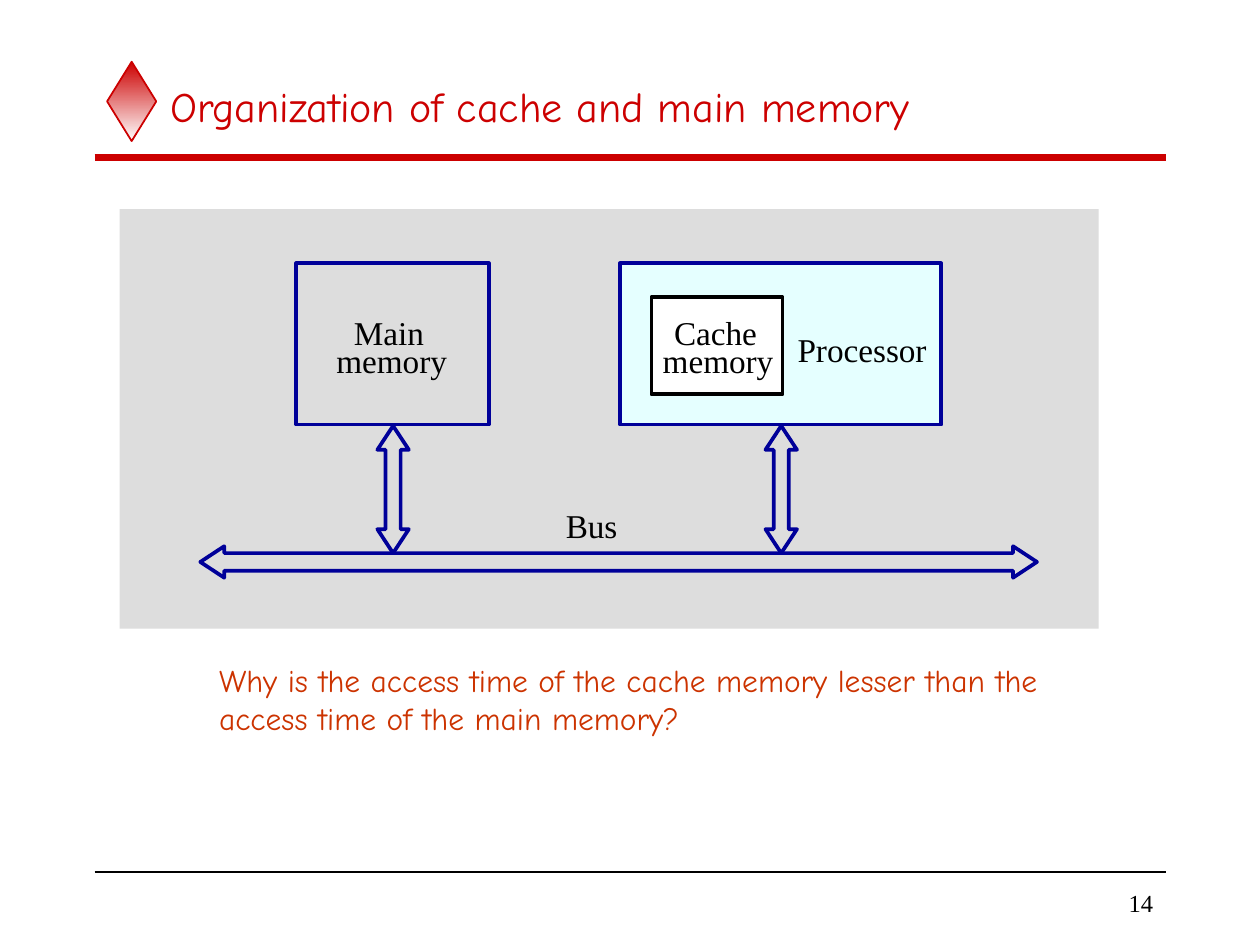
from dataclasses import dataclass

from pptx import Presentation
from pptx import util as u
from pptx.dml.color import RGBColor
from pptx.enum import shapes, text
from pptx.oxml import parse_xml
from pptx.oxml.ns import nsdecls


@dataclass(frozen=True)
class Theme:
    red: str = "CC0000"
    question: str = "CC3300"
    navy: str = "000099"
    black: str = "000000"
    white: str = "FFFFFF"
    panel: str = "DDDDDD"
    cyan: str = "E5FFFF"
    heading_font: str = "Comic Neue"
    label_font: str = "Times New Roman"
    title_size: float = 24
    question_size: float = 18
    label_size: float = 19
    number_size: float = 14
    outline: float = 2.13


THEME = Theme()

# Content, placed on a grid of 100 columns by 75 rows
COLUMNS, ROWS = 100, 75
TITLE = "Organization of cache and main memory"
QUESTION = ["Why is the access time of the cache memory lesser than the",
            "access time of the main memory?"]
PAGE_NUMBER = "14"

RULES = [  # row, colour, width
    (12.5, THEME.red, 4),
    (69.2, THEME.black, 1),
]
BOXES = [  # column, row, width, height, fill, line
    (9.5, 16.6, 77.7, 33.3, THEME.panel, None),
    (23.5, 20.9, 15.3, 12.8, None, THEME.navy),
    (49.2, 20.9, 25.5, 12.8, THEME.cyan, THEME.navy),
    (51.7, 23.6, 10.4, 7.7, THEME.white, THEME.black),
]
LABELS = [  # wording, column, row, width
    ("Main", 28.1, 24.8, 5.6),
    ("memory", 26.7, 27, 8.8),
    ("Cache", 53.5, 24.8, 6.6),
    ("memory", 52.6, 27, 8.8),
    ("Processor", 63.3, 26.1, 10.2),
    ("Bus", 44.9, 40.1, 4.1),
]
ARROWS = [  # vertical, centre line, start, end, head length, shaft half, head half
    (True, 31.2, 33.8, 43.9, 1.9, 0.6, 1.25),
    (True, 62, 33.8, 43.9, 1.9, 0.6, 1.25),
    (False, 44.6, 15.9, 82.3, 1.9, 0.7, 1.25),
]

presentation = Presentation()
presentation.slide_width, presentation.slide_height = u.Inches(10), u.Inches(7.5)
slide = presentation.slides.add_slide(presentation.slide_layouts[5])


def grid(column, row):
    return (round(presentation.slide_width * column / COLUMNS),
            round(presentation.slide_height * row / ROWS))


def area(column, row, width, height):
    return grid(column, row) + grid(width, height)


def paint(shape, fill=None, line=None, width=THEME.outline):
    shape.shadow.inherit = False
    if fill:
        shape.fill.solid()
        shape.fill.fore_color.rgb = RGBColor.from_string(fill)
    else:
        shape.fill.background()
    if line:
        shape.line.color.rgb = RGBColor.from_string(line)
        shape.line.width = u.Pt(width)
    else:
        shape.line.fill.background()


def write(shape, wording, font, size, color, align=text.PP_ALIGN.LEFT,
          anchor=text.MSO_ANCHOR.TOP, wrap=False, margins=(0.1, 0.05)):
    frame = shape.text_frame
    frame.text = wording
    frame.word_wrap = wrap
    frame.auto_size = text.MSO_AUTO_SIZE.NONE
    frame.vertical_anchor = anchor
    frame.margin_left = frame.margin_right = u.Inches(margins[0])
    frame.margin_top = frame.margin_bottom = u.Inches(margins[1])
    for paragraph in frame.paragraphs:
        paragraph.alignment = align
        for run in paragraph.runs:
            run.font.name, run.font.size = font, u.Pt(size)
            run.font.color.rgb = RGBColor.from_string(color)


def add_double_arrow(vertical, centre, start, end, head, shaft, wing):
    side = [(start, 0), (start + head, wing), (start + head, shaft),
            (end - head, shaft), (end - head, wing), (end, 0)]
    outline = side + [(along, -across) for along, across in side[-2:0:-1]]
    points = [grid(centre + across, along) if vertical
              else grid(along, centre + across) for along, across in outline]
    builder = slide.shapes.build_freeform(*points[0])
    builder.add_line_segments(points[1:], close=True)
    paint(builder.convert_to_shape(), line=THEME.navy)


# Heading: diamond, rules and title
diamond = slide.shapes.add_shape(shapes.MSO_SHAPE.DIAMOND, *area(8.5, 4.9, 3.9, 6.3))
paint(diamond, line=THEME.red, width=1)
diamond.fill.gradient()
diamond.fill.gradient_angle = 270
for stop, position, color in zip(diamond.fill.gradient_stops, (0, 1),
                                 (THEME.red, THEME.white)):
    stop.position = position
    stop.color.rgb = RGBColor.from_string(color)

for row, color, width in RULES:
    rule = slide.shapes.add_connector(shapes.MSO_CONNECTOR.STRAIGHT,
                                      *grid(7.5, row), *grid(92.5, row))
    rule.line.color.rgb = RGBColor.from_string(color)
    rule.line.width = u.Pt(width)
    rule._element.spPr.append(parse_xml(f"<a:effectLst {nsdecls('a')}/>"))

title = slide.shapes.title
title.left, title.top, title.width, title.height = area(12.5, 5, 80, 6.7)
write(title, TITLE, THEME.heading_font, THEME.title_size, THEME.red,
      anchor=text.MSO_ANCHOR.MIDDLE, wrap=True)

# Diagram: panel, boxes, arrows and labels
for *place, fill, line in BOXES:
    box = slide.shapes.add_shape(shapes.MSO_SHAPE.RECTANGLE, *area(*place))
    paint(box, fill, line)

for arrow in ARROWS:
    add_double_arrow(*arrow)

for wording, column, row, width in LABELS:
    label = slide.shapes.add_textbox(*area(column, row, width, 3.2))
    write(label, wording, THEME.label_font, THEME.label_size, THEME.black,
          margins=(0, 0))

# Question and page number
question = slide.shapes.add_textbox(*area(16.4, 52, 67.8, 7))
write(question, "\n".join(QUESTION), THEME.heading_font, THEME.question_size,
      THEME.question)

number = slide.shapes.add_textbox(*area(78.3, 70, 14.2, 3.3))
write(number, PAGE_NUMBER, THEME.label_font, THEME.number_size, THEME.black,
      align=text.PP_ALIGN.RIGHT, anchor=text.MSO_ANCHOR.MIDDLE, wrap=True)

presentation.save("out.pptx")
